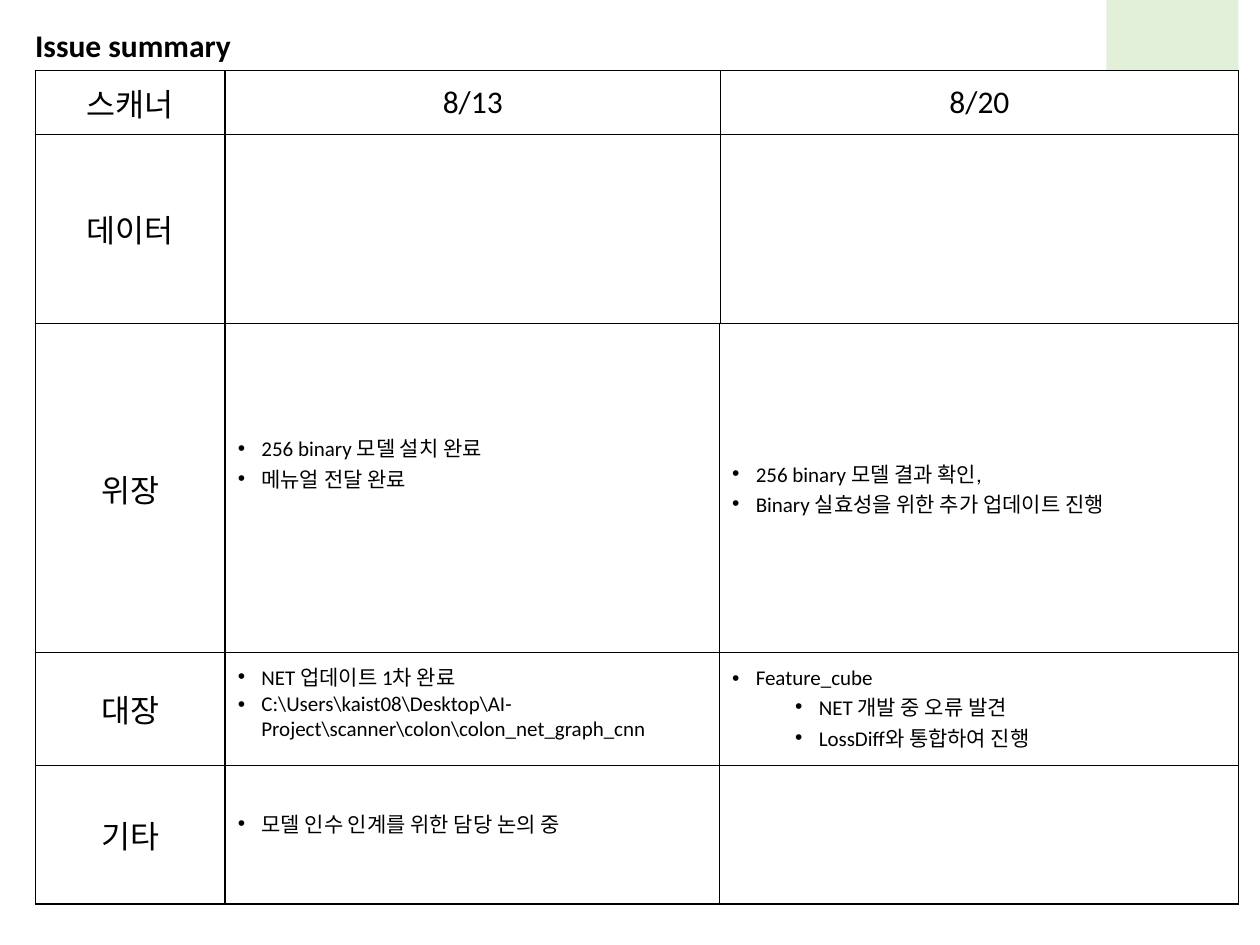
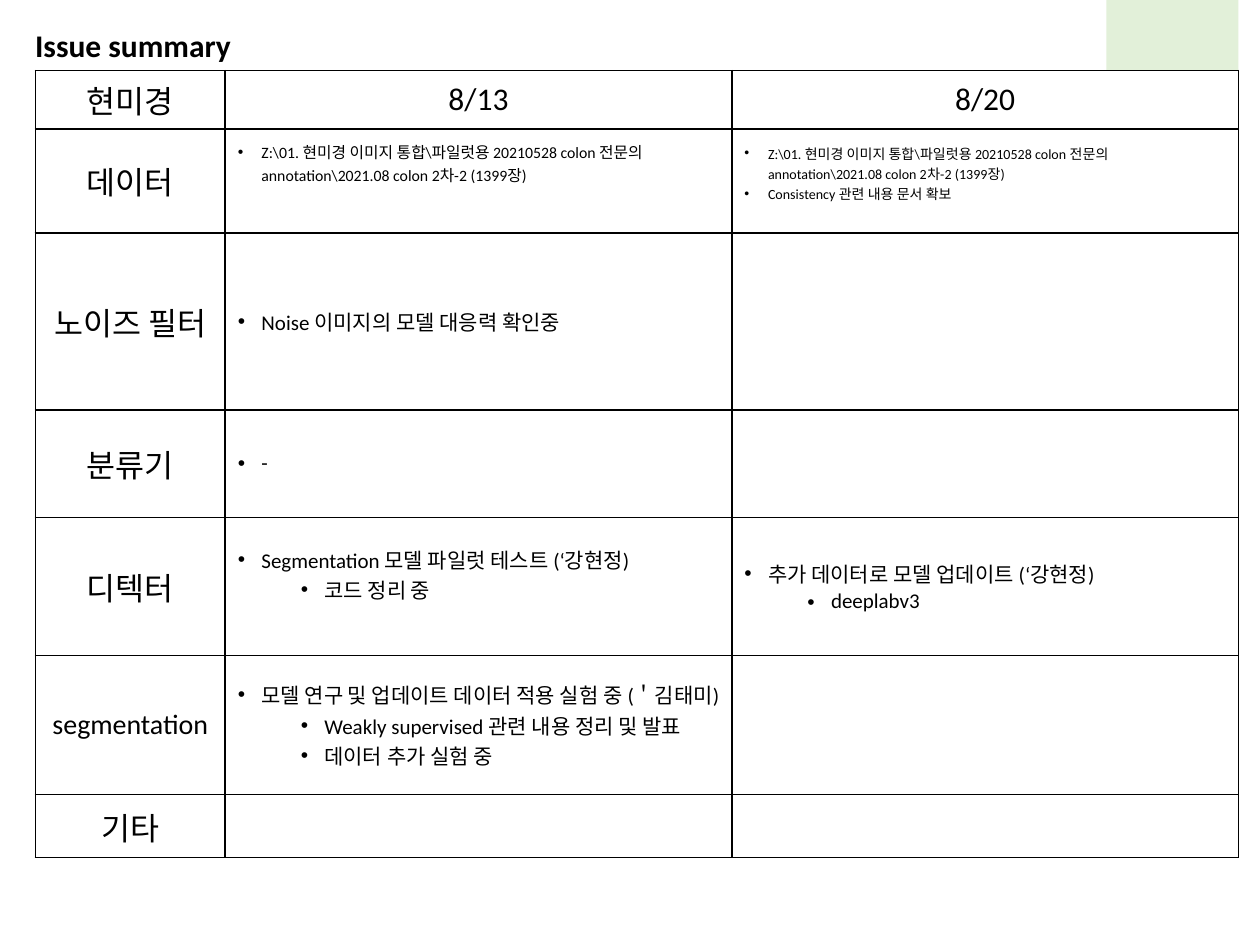
import pptx
import pptx.util
import pptx.dml.color
import pptx.enum.shapes
import pptx.enum.text
from dataclasses import dataclass
from lxml import etree

Pt = pptx.util.Pt
RGB = pptx.dml.color.RGBColor.from_string
NS = "http://schemas.openxmlformats.org/drawingml/2006/main"


@dataclass
class Theme:
    font: str = "Calibri"
    ink: str = "000000"
    paper: str = "FFFFFF"
    tint: str = "E2F0D9"
    head: float = 18
    label: float = 16
    body: float = 12
    note: float = 9
    fine: float = 8
    rule: float = 1


@dataclass
class Notes:
    """Bulleted cell text: a leading '>' marks the second level."""
    lines: list
    size: float = Theme.body
    lift: float = 0  # extra bottom margin that raises the text


@dataclass
class Label:
    text: str
    size: float = Theme.head


def add(parent, tag, **attrs):
    return etree.SubElement(parent, f"{{{NS}}}{tag}", **attrs)


class Deck:
    left, indent, step = 20.2, 13.5, 36

    def __init__(self, theme):
        self.theme = theme
        self.prs = pptx.Presentation()
        self.prs.slide_width, self.prs.slide_height = Pt(720), Pt(540)
        self.slide = None

    def page(self, title):
        self.slide = self.prs.slides.add_slide(self.prs.slide_layouts[6])
        self.block(632.2, -10.8, 75.5, 103.7)
        self.title(title)

    def block(self, x, y, w, h):
        rect = pptx.enum.shapes.MSO_SHAPE.RECTANGLE
        shape = self.slide.shapes.add_shape(rect, Pt(x), Pt(y), Pt(w), Pt(h))
        shape.shadow.inherit = False
        shape.fill.solid()
        shape.fill.fore_color.rgb = RGB(self.theme.tint)
        shape.line.fill.background()

    def title(self, text):
        box = self.slide.shapes.add_textbox(Pt(13), Pt(11.5), Pt(225.4), Pt(29))
        box.text_frame.word_wrap = True
        para = box.text_frame.paragraphs[0]
        para.text = text
        self.style(para, self.theme.head, True)

    def style(self, para, size, bold=False):
        font = para.font
        font.name, font.size, font.bold = self.theme.font, Pt(size), bold
        font.color.rgb = RGB(self.theme.ink)

    def table(self, top, cols, rows):
        """Each row is a height followed by its cells."""
        height = sum(row[0] for row in rows)
        frame = self.slide.shapes.add_table(
            len(rows), len(cols), Pt(self.left), Pt(top), Pt(sum(cols)), Pt(height))
        table = frame.table
        table.first_row = table.horz_banding = False
        for col, width in zip(table.columns, cols):
            col.width = Pt(width)
        for r, (tall, *items) in enumerate(rows):
            table.rows[r].height = Pt(tall)
            for c, item in enumerate(items):
                self.cell(table.cell(r, c), item)

    def cell(self, cell, item):
        self.border(cell)
        cell.fill.solid()
        cell.fill.fore_color.rgb = RGB(self.theme.paper)
        cell.vertical_anchor = pptx.enum.text.MSO_ANCHOR.MIDDLE
        if isinstance(item, Label):
            para = cell.text_frame.paragraphs[0]
            para.text = item.text
            para.alignment = pptx.enum.text.PP_ALIGN.CENTER
            self.style(para, item.size)
        elif isinstance(item, Notes):
            self.notes(cell, item)

    def border(self, cell):
        props = cell._tc.get_or_add_tcPr()
        for side in "LRTB":
            line = add(props, f"ln{side}", w=str(Pt(self.theme.rule)))
            add(add(line, "solidFill"), "srgbClr", val=self.theme.ink)

    def notes(self, cell, item):
        cell.margin_bottom = Pt(3.6 + item.lift)
        frame = cell.text_frame
        for i, line in enumerate(item.lines):
            para = frame.add_paragraph() if i else frame.paragraphs[0]
            para.text = line.lstrip(">")
            para.level = int(line.startswith(">"))
            props = para._p.get_or_add_pPr()
            props.set("marL", str(Pt(self.indent + para.level * self.step)))
            props.set("indent", str(-Pt(self.indent)))
            add(props, "buFont", typeface="Arial")
            add(props, "buChar", char="•")
            self.style(para, item.size)


def main():
    theme = Theme()
    deck = Deck(theme)
    dates = [Label("8/13"), Label("8/20")]

    # Scanner issues
    deck.page("Issue summary")
    deck.table(40.3, [108.5, 283, 296], [
        [36.5, Label("스캐너"), *dates],
        [108, Label("데이터"), None, None],
    ])
    deck.table(185, [108.5, 282.5, 296.5], [
        [188, Label("위장"),
         Notes(["256 binary 모델 설치 완료", "메뉴얼 전달 완료"], lift=28.8),
         Notes(["256 binary 모델 결과 확인,",
                "Binary 실효성을 위한 추가 업데이트 진행"])],
        [64.5, Label("대장"),
         Notes(["NET 업데이트 1차 완료",
                r"C:\Users\kaist08\Desktop\AI-Project\scanner\colon\colon_net_graph_cnn"],
               lift=8.6),
         Notes(["Feature_cube", ">NET 개발 중 오류 발견",
                ">LossDiff와 통합하여 진행"])],
        [79, Label("기타"),
         Notes(["모델 인수 인계를 위한 담당 논의 중"], lift=13), None],
    ])

    # Microscope issues
    data = (r"Z:\01. 현미경 이미지 통합\파일럿용 20210528 colon 전문의 "
            r"annotation\2021.08 colon 2차-2 (1399장)")
    cols = [108.5, 289.5, 289.5]
    deck.page("Issue summary")
    deck.table(40.3, cols, [
        [33.5, Label("현미경"), *dates],
        [59, Label("데이터"), Notes([data], theme.note, 20),
         Notes([data, "Consistency 관련 내용 문서 확보"], theme.fine, 8.6)],
    ])
    deck.table(133.2, cols, [
        [101, Label("노이즈 필터"),
         Notes(["Noise 이미지의 모델 대응력 확인중"]), None],
        [61.5, Label("분류기"), Notes(["-"]), None],
        [79, Label("디텍터"),
         Notes(["Segmentation 모델 파일럿 테스트 (‘강현정)", ">코드 정리 중"], lift=14),
         Notes(["추가 데이터로 모델 업데이트 (‘강현정)", ">deeplabv3"])],
        [79.5, Label("segmentation", theme.label),
         Notes(["모델 연구 및 업데이트 데이터 적용 실험 중 (＇김태미)",
                ">Weakly supervised 관련 내용 정리 및 발표",
                ">데이터 추가 실험 중"]), None],
        [36, Label("기타"), None, None],
    ])
    deck.prs.save("out.pptx")


if __name__ == "__main__":
    main()
